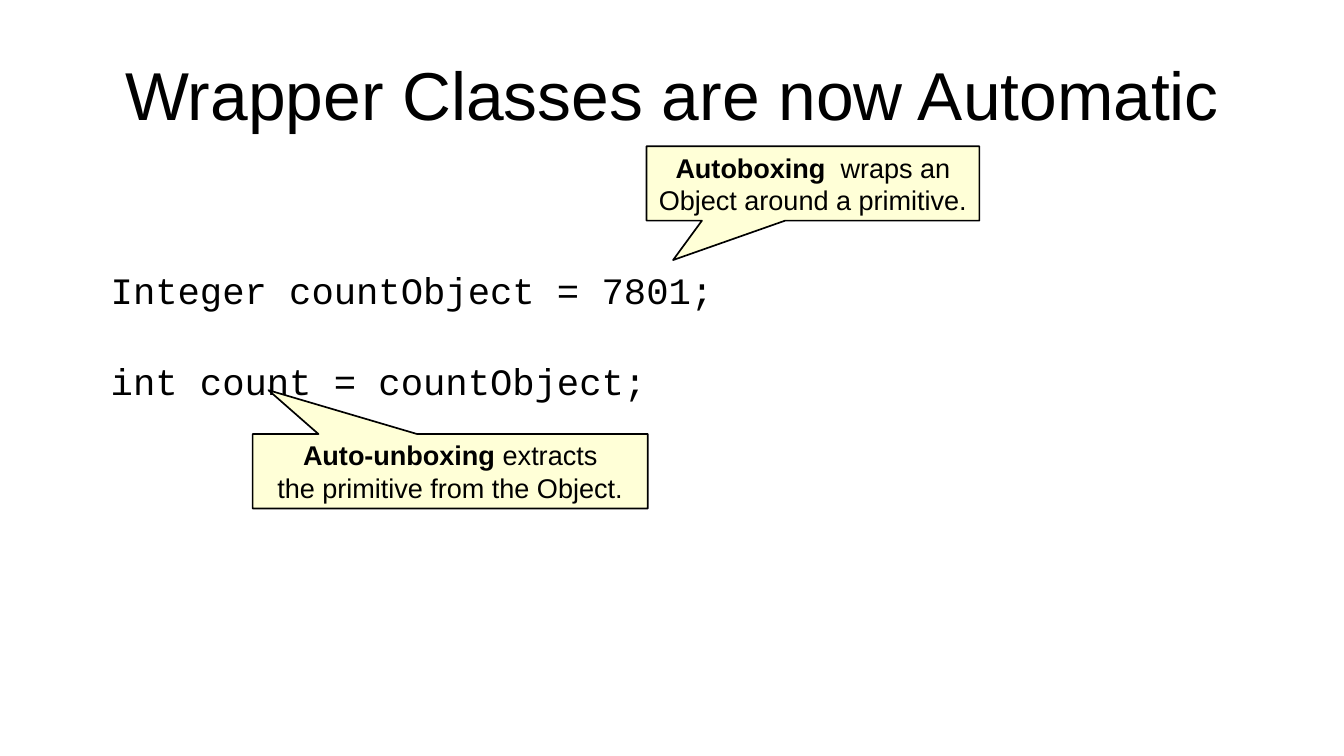
from dataclasses import dataclass
from typing import NamedTuple

from lxml.etree import SubElement
from pptx import Presentation
from pptx.dml.color import RGBColor
from pptx.enum.shapes import MSO_SHAPE as Preset
from pptx.enum.text import MSO_ANCHOR as Anchor, MSO_AUTO_SIZE as AutoSize, PP_ALIGN as Align
from pptx.oxml.ns import qn
from pptx.slide import Slide
from pptx.text.text import TextFrame, _Paragraph as Paragraph
from pptx.util import Inches, Pt

WIDTH, HEIGHT = Inches(11.02), Inches(6.2)


@dataclass(frozen=True)
class Theme:
    """Colours, fonts and type sizes of the slide."""
    ink: RGBColor = RGBColor(0x00, 0x00, 0x00)
    note: RGBColor = RGBColor(0xFF, 0xFF, 0xD7)
    paper: RGBColor = RGBColor(0xFF, 0xFF, 0xFF)
    prose: str = "Arial"
    code: str = "Courier New"
    title_size: int = 40
    code_size: int = 22
    note_size: int = 16
    outline: float = 0.99


class Area(NamedTuple):
    """A box in percent of the slide's width and height."""
    left: float
    top: float
    width: float
    height: float

    def emu(self) -> tuple[int, int, int, int]:
        """Return left, top, width and height as slide lengths."""
        return (round(WIDTH * self.left / 100), round(HEIGHT * self.top / 100),
                round(WIDTH * self.width / 100), round(HEIGHT * self.height / 100))


class Callout(NamedTuple):
    """A note whose tip is given relative to its centre."""
    area: Area
    tip: tuple[float, float]
    term: str
    rest: str
    second_line: str


THEME = Theme()
TITLE = "Wrapper Classes are now Automatic"
TITLE_AREA = Area(5, 4.03, 90, 16.77)
CODE_AREA = Area(7.35, 33.55, 46.73, 18.23)
CODE_LINES = ("Integer countObject = 7801;", "int count = countObject;")
CODE_GAP = 27.5
CALLOUTS = (
    Callout(Area(48.1, 19.35, 24.77, 9.84), (-0.42, 1.03),
            "Autoboxing", "  wraps an", "Object around a primitive."),
    Callout(Area(18.8, 57.42, 29.4, 9.84), (-0.46, -1.09),
            "Auto-unboxing", " extracts", "the primitive from the Object."),
)


def set_frame(frame: TextFrame, side: float, top: float, bottom: float,
              anchor: Anchor, wrap: bool = True) -> None:
    """Set the insets in inches, the anchor and the wrapping of a text frame."""
    frame.auto_size = AutoSize.NONE
    frame.word_wrap = wrap
    frame.vertical_anchor = anchor
    frame.margin_left = frame.margin_right = Inches(side)
    frame.margin_top, frame.margin_bottom = Inches(top), Inches(bottom)


def add_run(paragraph: Paragraph, text: str, font: str, size: int,
            bold: bool = False) -> None:
    """Append one formatted run."""
    run = paragraph.add_run()
    run.text = text
    run.font.name, run.font.size, run.font.bold = font, Pt(size), bold
    run.font.color.rgb = THEME.ink


def draw_title(slide: Slide) -> None:
    """Place and fill the title placeholder."""
    title = slide.shapes.title
    title.left, title.top, title.width, title.height = TITLE_AREA.emu()
    set_frame(title.text_frame, 0, 0, 0, Anchor.MIDDLE)
    heading = title.text_frame.paragraphs[0]
    heading.alignment = Align.CENTER
    add_run(heading, TITLE, THEME.prose, THEME.title_size)


def draw_code(slide: Slide) -> None:
    """Write the code statements, one paragraph each."""
    frame = slide.shapes.add_textbox(*CODE_AREA.emu()).text_frame
    set_frame(frame, 0.1, 0.11, 0.05, Anchor.TOP)
    for index, statement in enumerate(CODE_LINES):
        line = frame.add_paragraph() if index else frame.paragraphs[0]
        line.space_before = Pt(CODE_GAP if index else 0)
        add_run(line, statement, THEME.code, THEME.code_size)


def draw_callout(slide: Slide, callout: Callout) -> None:
    """Draw one note with its pointer and its two centred lines."""
    note = slide.shapes.add_shape(Preset.RECTANGULAR_CALLOUT, *callout.area.emu())
    note.adjustments[0], note.adjustments[1] = callout.tip
    note.shadow.inherit = False
    note.fill.solid()
    note.fill.fore_color.rgb = THEME.note
    note.line.color.rgb = THEME.ink
    note.line.width = Pt(THEME.outline)
    SubElement(note.line._get_or_add_ln(), qn("a:round"))
    frame = note.text_frame
    set_frame(frame, 0.11, 0.06, 0.06, Anchor.MIDDLE, wrap=False)
    first, second = frame.paragraphs[0], frame.add_paragraph()
    first.alignment = second.alignment = Align.CENTER
    add_run(first, callout.term, THEME.prose, THEME.note_size, bold=True)
    add_run(first, callout.rest, THEME.prose, THEME.note_size)
    add_run(second, callout.second_line, THEME.prose, THEME.note_size)


def main() -> None:
    """Build the slide and save it."""
    deck = Presentation()
    deck.slide_width, deck.slide_height = WIDTH, HEIGHT
    slide = deck.slides.add_slide(deck.slide_layouts.get_by_name("Title Only"))
    slide.background.fill.solid()
    slide.background.fill.fore_color.rgb = THEME.paper
    draw_title(slide)
    draw_code(slide)
    for callout in CALLOUTS:
        draw_callout(slide, callout)
    deck.save("out.pptx")


main()
